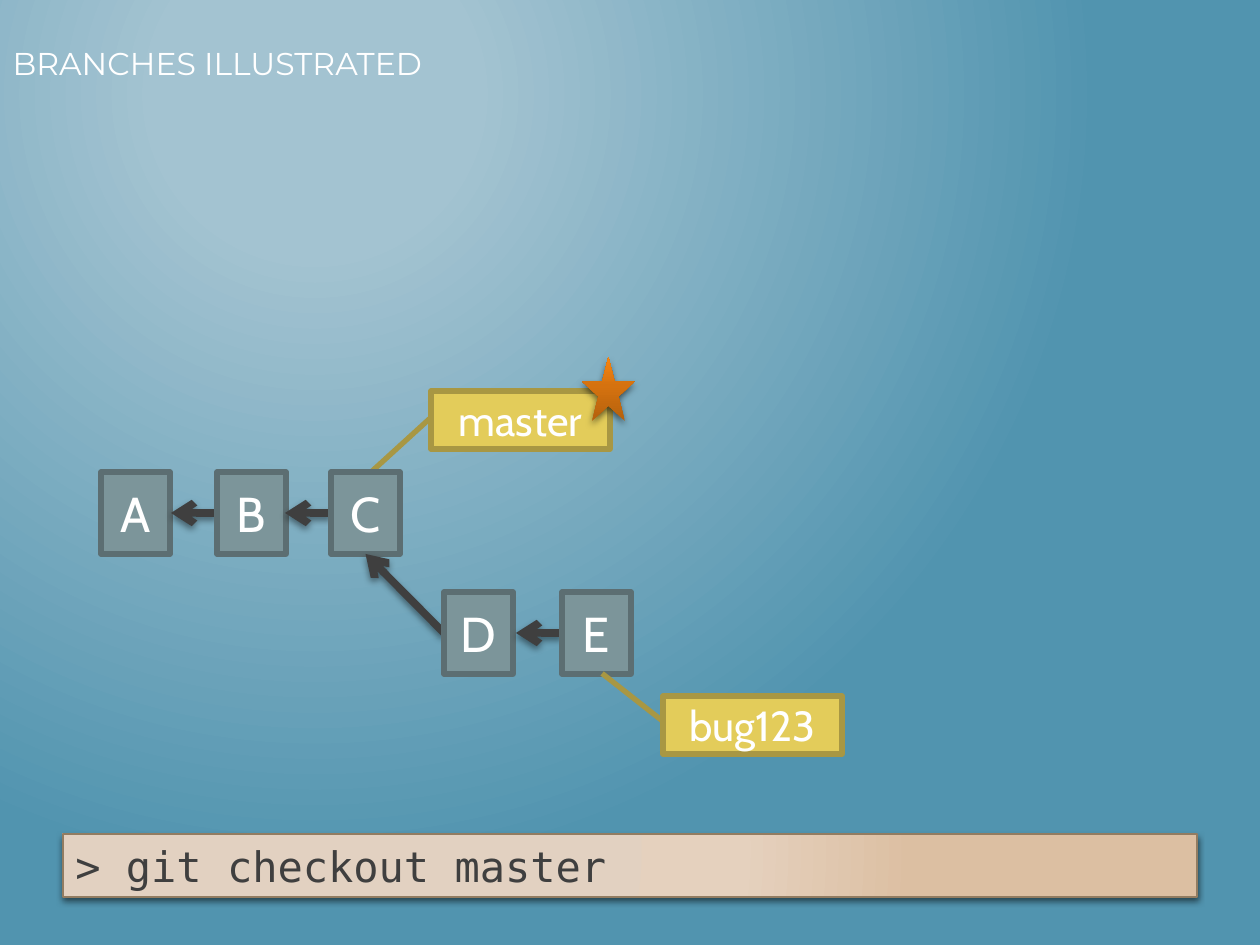
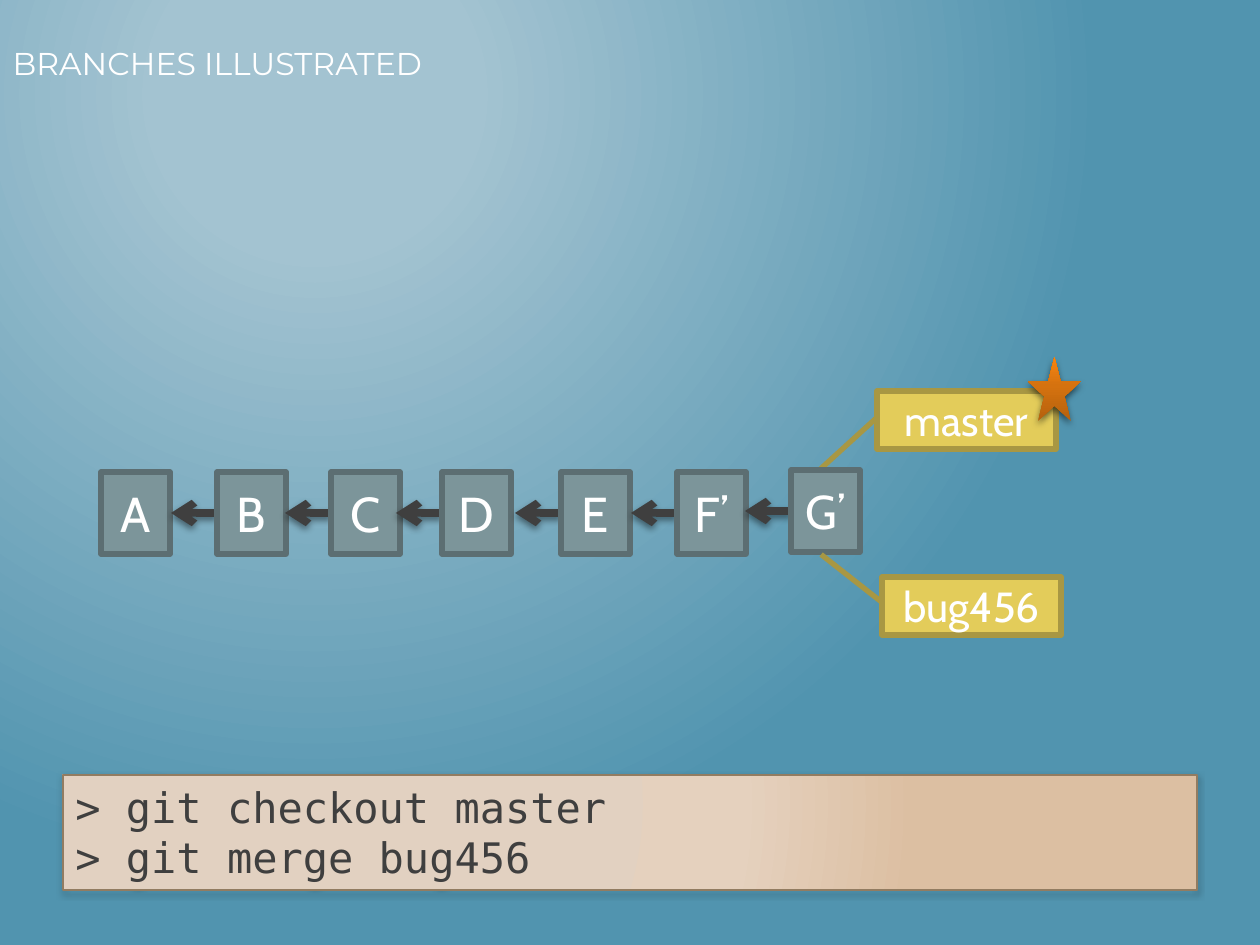
from lxml import etree
from pptx import Presentation
from pptx import util as u
from pptx.dml.color import RGBColor
from pptx.enum import shapes, text
from pptx.oxml.ns import nsdecls, qn

# Content: commits as (name, left, top, size), in history order; lengths in pixels
TITLE = "BRANCHES ILLUSTRATED"
ROW, LOW_ROW = 472, 592
SLIDES = [
    {
        "commits": [("A", 101, ROW, 28), ("B", 217, ROW, 28), ("C", 331, ROW, 28),
                    ("D", 444, LOW_ROW, 28), ("E", 562, LOW_ROW, 28)],
        "current": ("master", 431, 391),
        "branch": ("bug123", 663, 696),
        "commands": ["> git checkout master"],
        "bar": (834, 63),
    },
    {
        "commits": [("A", 101, ROW, 28), ("B", 217, ROW, 28), ("C", 331, ROW, 28),
                    ("D", 442, ROW, 28), ("E", 561, ROW, 28), ("F’", 677, ROW, 28),
                    ("G’", 791, 470, 27)],
        "current": ("master", 877, 391),
        "branch": ("bug456", 882, 577),
        "commands": ["> git checkout master", "> git merge bug456"],
        "bar": (775, 115),
    },
]

# Shared look
WHITE = RGBColor(0xFF, 0xFF, 0xFF)
DARK = RGBColor(0x3F, 0x3F, 0x3F)
GREY, GREY_EDGE = RGBColor(0x7C, 0x95, 0x9A), RGBColor(0x5C, 0x6E, 0x72)
YELLOW, YELLOW_EDGE = RGBColor(0xE3, 0xCC, 0x5A), RGBColor(0xA8, 0x97, 0x43)
BAR_EDGE = RGBColor(0x92, 0x7C, 0x61)
SKY = [(20, RGBColor(0xA3, 0xC3, 0xD1)), (100, RGBColor(0x51, 0x94, 0xAF))]
SAND = [(0, RGBColor(0xE2, 0xD1, 0xC1)), (35, RGBColor(0xE2, 0xD1, 0xC1)),
        (69, RGBColor(0xE5, 0xD1, 0xBE)), (100, RGBColor(0xDC, 0xBF, 0xA2))]
ORANGE = [(0, RGBColor(0xB5, 0x61, 0x0D)), (55, RGBColor(0xD5, 0x72, 0x0F)),
          (100, RGBColor(0xF8, 0x85, 0x11))]
UPWARD = '<a:lin ang="16200000" scaled="0"/>'
BODY, MONO, HEAD = "Cabin", "DejaVu Sans Mono", "Montserrat"

SCALE = 914400 / 126
COMMIT_W, COMMIT_H = 69, 82
LABEL_W, LABEL_H = 179, 58
ARROW = 46
STAR_DX, STAR_DY, STAR_W, STAR_H = 151, -34, 53, 64
TO_COMMIT_BELOW = (0.446, 0.004, 1.383, -0.329)
TO_COMMIT_ABOVE = (0.446, 0.004, -0.389, -0.34)


def px(*values):
    """Turn pixels into EMU."""
    return [u.Emu(round(v * SCALE)) for v in values]


def circle(left, top):
    """Return the XML of a circular gradient path."""
    return (f'<a:path path="circle"><a:fillToRect l="{left}000" t="{top}000" '
            'r="100000" b="100000"/></a:path>')


def set_gradient(fill, root, stops, shading):
    """Give a fill, whose XML lies below root, a gradient."""
    fill.gradient()
    marks = "".join(f'<a:gs pos="{pos}000"><a:srgbClr val="{color}"/></a:gs>'
                    for pos, color in stops)
    new = etree.fromstring(f'<a:gradFill {nsdecls("a")} rotWithShape="1">'
                           f'<a:gsLst>{marks}</a:gsLst>{shading}</a:gradFill>')
    old = root.find(".//" + qn("a:gradFill"))
    old.getparent().replace(old, new)


def add_shadow(effects, alpha):
    """Put a soft downward shadow into an effect list."""
    shadow = etree.SubElement(effects, qn("a:outerShdw"), blurRad="50800", dist="25400",
                              dir="5400000", rotWithShape="0")
    color = etree.SubElement(shadow, qn("a:srgbClr"), val="000000")
    etree.SubElement(color, qn("a:alpha"), val=f"{alpha}000")


def write(sp, lines, font, size, color, align, anchor):
    """Write lines of text, one paragraph each, in one format."""
    tf = sp.text_frame
    for name, value in {"word_wrap": True, "vertical_anchor": anchor}.items():
        setattr(tf, name, value)
    for i, line in enumerate(lines):
        p = tf.add_paragraph() if i else tf.paragraphs[0]
        p.alignment = align
        r = p.add_run()
        r.text = line
        for name, value in {"name": font, "size": u.Pt(size), "bold": False}.items():
            setattr(r.font, name, value)
        r.font.color.rgb = color


def add_shape(s, kind, box, fill=None, edge=None, width=3.03):
    """Add a preset shape without a shadow."""
    sp = s.shapes.add_shape(kind, *px(*box))
    sp.shadow.inherit = False
    if fill:
        sp.fill.solid()
        sp.fill.fore_color.rgb = fill
    if edge:
        sp.line.color.rgb = edge
        sp.line.width = u.Pt(width)
    else:
        sp.line.fill.background()
    return sp


def add_shaded(s, kind, box, stops, shading, **edge):
    """Add a preset shape with a gradient and a shadow."""
    sp = add_shape(s, kind, box, **edge)
    set_gradient(sp.fill, sp._element.spPr, stops, shading)
    add_shadow(sp._element.spPr.find(qn("a:effectLst")), 55)
    return sp


def add_label(s, name, left, top, pointer):
    """Add a branch label whose pointer reaches its commit."""
    sp = add_shape(s, shapes.MSO_SHAPE.LINE_CALLOUT_1, (left, top, LABEL_W, LABEL_H),
                   YELLOW, YELLOW_EDGE)
    for i, value in enumerate(pointer):
        sp.adjustments[i] = value
    write(sp, [name], BODY, 24, WHITE, text.PP_ALIGN.CENTER, text.MSO_ANCHOR.MIDDLE)


def add_arrow(s, start, end):
    """Add an arrow from a commit to its parent."""
    c = s.shapes.add_connector(shapes.MSO_CONNECTOR.STRAIGHT, *px(*start, *end))
    c.line.color.rgb = DARK
    c.line.width = u.Pt(4.32)
    spPr = c._element.spPr
    etree.SubElement(spPr.find(qn("a:ln")), qn("a:tailEnd"), type="arrow")
    add_shadow(etree.SubElement(spPr, qn("a:effectLst")), 44)


def add_history(s, commits):
    """Add the commits, each with an arrow to the one before."""
    parent = None
    for name, left, top, size in commits:
        if parent:
            middle = top + COMMIT_H / 2
            end = (left - ARROW, middle)
            if top > parent[1] + COMMIT_H:
                end = (parent[0] + COMMIT_W / 2, parent[1] + COMMIT_H)
            add_arrow(s, (left, middle), end)
        sp = add_shape(s, shapes.MSO_SHAPE.RECTANGLE, (left, top, COMMIT_W, COMMIT_H),
                       GREY, GREY_EDGE)
        write(sp, [name], BODY, size, WHITE, text.PP_ALIGN.CENTER, text.MSO_ANCHOR.MIDDLE)
        parent = (left, top)


def add_commands(s, lines, top, height):
    """Add the bar with the typed commands."""
    sp = add_shaded(s, shapes.MSO_SHAPE.RECTANGLE, (63, top, 1134, height), SAND,
                    circle(50, 50), edge=BAR_EDGE, width=0.75)
    write(sp, lines, MONO, 24, DARK, text.PP_ALIGN.LEFT, text.MSO_ANCHOR.TOP)
    sp.text_frame.auto_size = text.MSO_AUTO_SIZE.SHAPE_TO_FIT_TEXT


def add_title(s):
    """Place and write the slide title."""
    sp = s.shapes.title
    for name, value in zip(("left", "top", "width", "height"), px(0, 38, 1134, 157)):
        setattr(sp, name, value)
    write(sp, [TITLE], HEAD, 18, WHITE, text.PP_ALIGN.LEFT, text.MSO_ANCHOR.TOP)
    sp.text_frame.auto_size = text.MSO_AUTO_SIZE.NONE


def build(prs, data):
    """Build one slide of the branch story."""
    s = prs.slides.add_slide(prs.slide_layouts[5])
    set_gradient(s.background.fill, s._element, SKY, circle(50, 20))
    add_title(s)
    name, left, top = data["current"]
    add_label(s, name, left, top, TO_COMMIT_BELOW)
    add_commands(s, data["commands"], *data["bar"])
    add_history(s, data["commits"])
    add_label(s, *data["branch"], TO_COMMIT_ABOVE)
    add_shaded(s, shapes.MSO_SHAPE.STAR_5_POINT,
               (left + STAR_DX, top + STAR_DY, STAR_W, STAR_H), ORANGE, UPWARD)


prs = Presentation()
prs.slide_width, prs.slide_height = px(1260, 945)
for data in SLIDES:
    build(prs, data)
prs.save("out.pptx")
